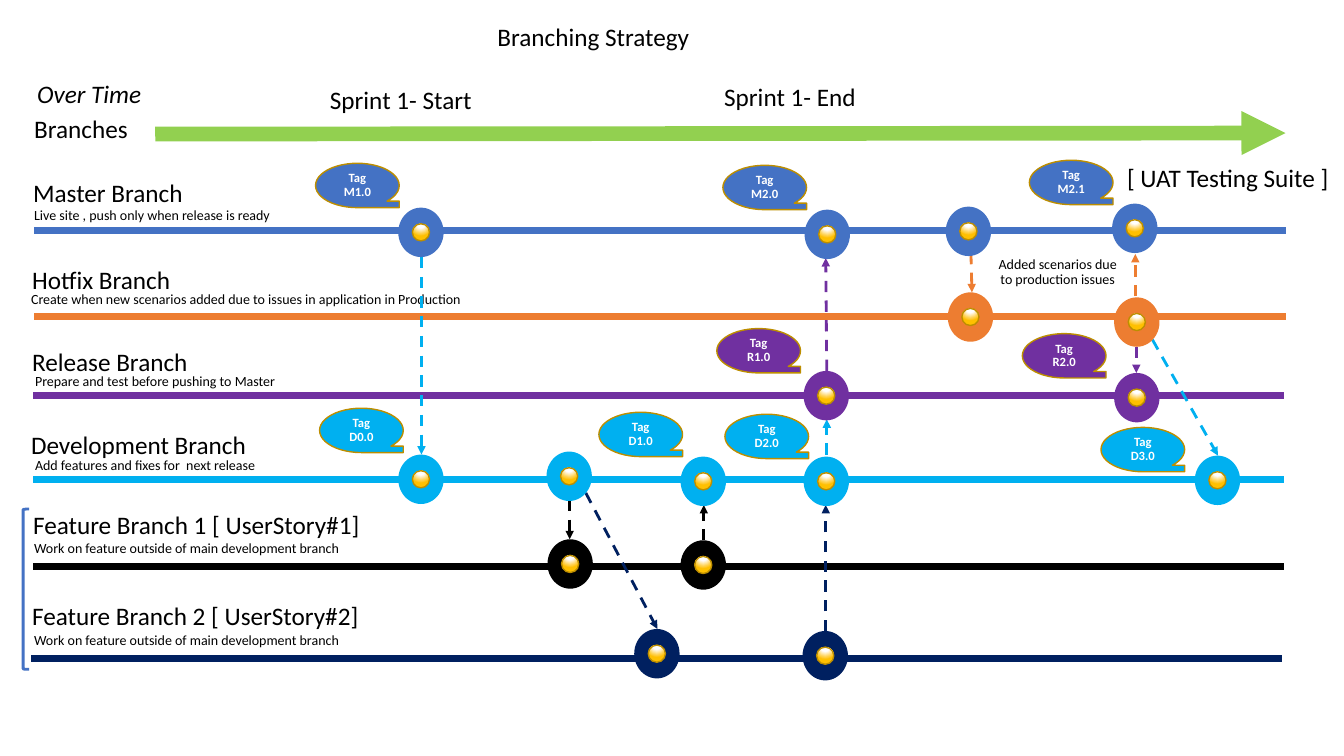
"""Build a slide that shows a Git branching strategy over time."""
from lxml import etree
from pptx import Presentation
from pptx.dml.color import RGBColor
from pptx.enum.dml import MSO_LINE
from pptx.enum.shapes import MSO_CONNECTOR, MSO_SHAPE
from pptx.enum.text import MSO_ANCHOR, PP_ALIGN
from pptx.oxml import parse_xml
from pptx.oxml.ns import qn
from pptx.util import Cm, Pt

STRAIGHT = MSO_CONNECTOR.STRAIGHT
OVAL, TAPE, BRACKET = MSO_SHAPE.OVAL, MSO_SHAPE.FLOWCHART_SEQUENTIAL_ACCESS_STORAGE, MSO_SHAPE.LEFT_BRACKET
DASH, MIDDLE = MSO_LINE.DASH, MSO_ANCHOR.MIDDLE
LEFT, CENTER = PP_ALIGN.LEFT, PP_ALIGN.CENTER

COLORS = {
    "master": "4472C4", "hotfix": "ED7D31", "release": "7030A0",
    "develop": "00B0F0", "feature1": "000000", "feature2": "002060",
    "time": "92D050", "rim": "BD8E00", "gold": "FFC000",
    "ink": "000000", "white": "FFFFFF",
}
NODE_W, NODE_H, DOT = 0.45, 0.49, 0.17
TAG_W, TAG_H = 0.83, 0.44
TITLE_H, NOTE_H = 0.37, 0.42
LANE_LENGTH = 12.41

# branch, lane start, title and its box, note and its box
BRANCHES = [
    ("master", (0.34, 2.29), "Master Branch", (0.23, 1.74, 3.35),
     "Live site , push only when release is ready", (0.24, 1.93, 4.75)),
    ("hotfix", (0.34, 3.14), "Hotfix Branch", (0.22, 2.61, 3.35),
     "Create when new scenarios added due to issues in application in Production", (0.21, 2.77, 4.75)),
    ("release", (0.33, 3.92), "Release Branch", (0.22, 3.42, 3.35),
     "Prepare and test before pushing to Master", (0.25, 3.58, 2.83)),
    ("develop", (0.33, 4.76), "Development Branch", (0.21, 4.24, 4.7),
     "Add features and fixes for  next release", (0.25, 4.41, 2.83)),
    ("feature1", (0.33, 5.62), "Feature Branch 1 [ UserStory#1]", (0.23, 5.04, 4.7),
     "Work on feature outside of main development branch", (0.24, 5.24, 4.13)),
    ("feature2", (0.31, 6.53), "Feature Branch 2 [ UserStory#2]", (0.22, 5.94, 4.7),
     "Work on feature outside of main development branch", (0.24, 6.15, 3.8)),
]
COMMITS = {
    "master": [(3.95, 2.06), (7.98, 2.08), (9.38, 2.05), (11.03, 2.02)],
    "hotfix": [(9.4, 2.9), (11.05, 2.95)],
    "release": [(7.97, 3.68), (11.05, 3.7)],
    "develop": [(3.95, 4.51), (5.42, 4.48), (6.75, 4.53), (7.97, 4.53), (11.85, 4.52)],
    "feature1": [(5.43, 5.35), (6.75, 5.36)],
    "feature2": [(6.29, 6.24), (7.96, 6.26)],
}
MERGES = [
    ("develop", (4.18, 2.55), (4.18, 4.51)),
    ("feature1", (5.65, 4.96), (5.65, 5.35)),
    ("feature2", (5.81, 4.89), (6.52, 6.24)),
    ("feature2", (8.19, 6.26), (8.19, 5.01)),
    ("feature1", (6.98, 5.36), (6.98, 5.01)),
    ("develop", (8.2, 4.51), (8.2, 4.16)),
    ("release", (8.2, 3.68), (8.19, 2.56)),
    ("hotfix", (9.63, 2.51), (9.64, 2.9)),
    ("hotfix", (11.26, 2.94), (11.26, 2.52)),
    ("release", (11.27, 3.44), (11.27, 3.7)),
    ("develop", (11.43, 3.37), (12.08, 4.52)),
]
TAGS = {
    "master": [("M1.0", 3.13, 1.62), ("M2.0", 7.17, 1.64), ("M2.1", 10.21, 1.59)],
    "release": [("R1.0", 7.11, 3.26), ("R2.0", 10.14, 3.31)],
    "develop": [("D0.0", 3.17, 4.05), ("D1.0", 5.94, 4.09),
                ("D2.0", 7.19, 4.11), ("D3.0", 10.92, 4.24)],
}
HEADINGS = [
    ("Branching Strategy", (4.21, 0.2), CENTER, False),
    ("Over Time", (-0.79, 0.76), CENTER, True),
    ("Branches", (0.24, 1.11), LEFT, False),
    ("Sprint 1- Start", (2.3, 0.82), CENTER, False),
    ("Sprint 1- End", (6.16, 0.79), CENTER, False),
    ("[ UAT Testing Suite ]", (11.08, 1.59), LEFT, False),
]


def lengths(*inches):
    """Turn inches into Cm lengths."""
    return [Cm(value * 2.54) for value in inches]


def rgb(name):
    """Look up a colour by its role."""
    return RGBColor.from_string(COLORS[name])


def write(frame, words, size, align, color="ink", bold=False, italic=False):
    """Fill a text frame with one paragraph."""
    frame.word_wrap = True
    frame.vertical_anchor = MIDDLE
    paragraph = frame.paragraphs[0]
    paragraph.text = words
    paragraph.alignment = align
    paragraph.line_spacing = 0.9
    font = paragraph.font
    font.name, font.size, font.bold, font.italic = "Calibri", Pt(size), bold, italic
    font.color.rgb = rgb(color)


def add_label(slide, words, box, size, align=LEFT, italic=False):
    """Add a text box."""
    label = slide.shapes.add_textbox(*lengths(*box))
    write(label.text_frame, words, size, align, italic=italic)


def add_line(slide, start, end, color, width, dashed=False, arrow=False):
    """Add a straight line, with an arrowhead at its end if wanted."""
    line = slide.shapes.add_connector(STRAIGHT, *lengths(*start, *end))
    line.line.color.rgb = rgb(color)
    line.line.width = Pt(width)
    if dashed:
        line.line.dash_style = DASH
    if arrow:
        etree.SubElement(line.line._get_or_add_ln(), qn("a:tailEnd"), type="triangle")
    etree.SubElement(line._element.spPr, qn("a:effectLst"))


def add_outlined(shapes, preset, box, fill=None, rim=None, width=1):
    """Add a preset shape with an optional fill and outline."""
    outlined = shapes.add_shape(preset, *lengths(*box))
    outlined.shadow.inherit = False
    if fill:
        outlined.fill.solid()
        outlined.fill.fore_color.rgb = rgb(fill)
    else:
        outlined.fill.background()
    if rim:
        outlined.line.color.rgb = rgb(rim)
        outlined.line.width = Pt(width)
    else:
        outlined.line.fill.background()
    return outlined


def add_glow(dot):
    """Give a dot a round gradient from white to gold."""
    stops = "".join(
        f'<a:gs pos="{place}"><a:srgbClr val="{COLORS[name]}"/></a:gs>'
        for place, name in ((0, "white"), (35000, "white"), (100000, "gold")))
    glow = parse_xml(
        '<a:gradFill xmlns:a="http://schemas.openxmlformats.org/drawingml/2006/main" rotWithShape="1">'
        f'<a:gsLst>{stops}</a:gsLst><a:path path="circle">'
        '<a:fillToRect l="50000" t="-80000" r="50000" b="180000"/></a:path></a:gradFill>')
    properties = dot._element.spPr
    properties.replace(properties.find(qn("a:noFill")), glow)


def add_commit(slide, branch, left, top):
    """Add a commit: a disc in the branch colour around a golden dot."""
    commit = slide.shapes.add_group_shape().shapes
    add_outlined(commit, OVAL, (left, top, NODE_W, NODE_H), branch)
    dot_box = (left + (NODE_W - DOT) / 2, top + (NODE_H - DOT) / 2, DOT, DOT)
    add_glow(add_outlined(commit, OVAL, dot_box, rim="rim"))


def add_tag(slide, branch, version, left, top):
    """Add a version tag."""
    tag = add_outlined(slide.shapes, TAPE, (left, top, TAG_W, TAG_H), branch, "rim")
    write(tag.text_frame, f"Tag {version}", 9, CENTER, "white", bold=True)


def main():
    """Build and save the slide."""
    deck = Presentation()
    deck.slide_width, deck.slide_height = lengths(13.33, 7.5)
    slide = deck.slides.add_slide(deck.slide_layouts[6])

    for branch, (left, y), title, title_box, note, note_box in BRANCHES:
        add_line(slide, (left, y), (left + LANE_LENGTH, y), branch, 5)
        add_label(slide, title, (*title_box, TITLE_H), 18)
        add_label(slide, note, (*note_box, NOTE_H), 10)
    add_line(slide, (1.54, 1.33), (12.75, 1.32), "time", 10.5, arrow=True)
    for words, corner, align, italic in HEADINGS:
        add_label(slide, words, (*corner, 3.35, TITLE_H), 18, align, italic)
    add_label(slide, "Added scenarios due to production issues", (9.75, 2.49, 1.48, NOTE_H), 10, CENTER)
    add_outlined(slide.shapes, BRACKET, (0.23, 5.05, 0.06, 1.59), rim="master", width=2)

    for branch, start, end in MERGES:
        add_line(slide, start, end, branch, 2, dashed=True, arrow=True)
    for branch, corners in COMMITS.items():
        for corner in corners:
            add_commit(slide, branch, *corner)
    for branch, tags in TAGS.items():
        for tag in tags:
            add_tag(slide, branch, *tag)
    deck.save("out.pptx")


if __name__ == "__main__":
    main()
